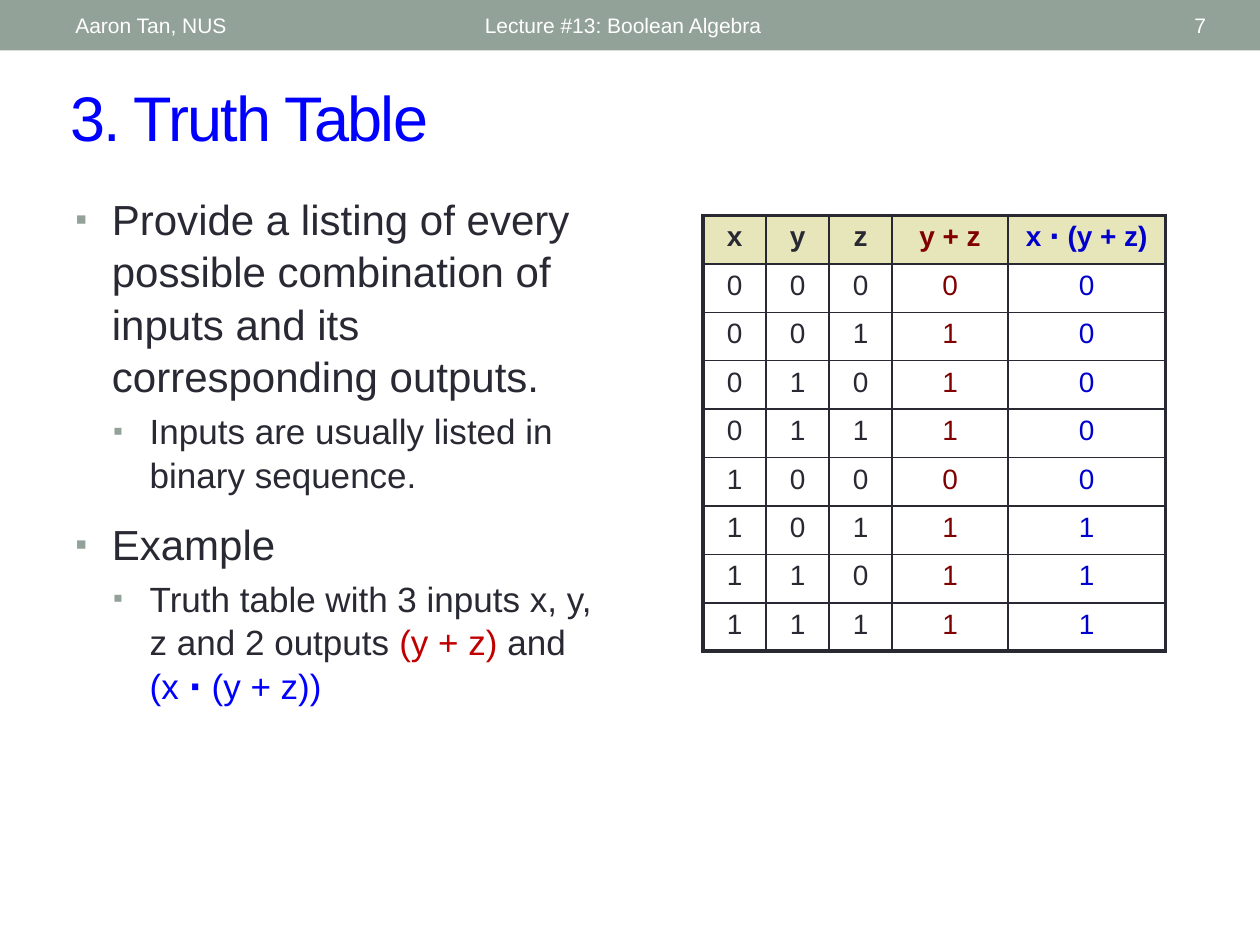
"""Build a lecture slide on truth tables with a bullet list and a table."""
from itertools import product

from lxml import etree
from pptx import Presentation
from pptx.dml.color import RGBColor
from pptx.enum.shapes import MSO_SHAPE
from pptx.enum.text import MSO_ANCHOR, PP_ALIGN
from pptx.oxml.ns import qn
from pptx.util import Inches, Pt

RECT = MSO_SHAPE.RECTANGLE
TOP, MIDDLE = MSO_ANCHOR.TOP, MSO_ANCHOR.MIDDLE
LEFT, CENTER, RIGHT = PP_ALIGN.LEFT, PP_ALIGN.CENTER, PP_ALIGN.RIGHT
INK, SAGE, WHITE, CREAM = "292934", "93A299", "FFFFFF", "E7E5BA"
BLUE, RED, NAVY, MAROON = "0000FF", "C00000", "0000CC", "800000"
tint = RGBColor.from_string


def put(par, text, size, hue, bold=False):
    run = par.add_run()
    run.text = text
    run.font.name = "Arial"
    run.font.size = Pt(size)
    run.font.bold = bold
    run.font.color.rgb = tint(hue)
    return run


def box(left, top, width, height, anchor):
    frame = slide.shapes.add_textbox(
        Inches(left), Inches(top), Inches(width), Inches(height)).text_frame
    frame.word_wrap = True
    frame.vertical_anchor = anchor
    return frame


deck = Presentation()
deck.slide_width, deck.slide_height = Inches(10), Inches(7.5)
slide = deck.slides.add_slide(deck.slide_layouts[6])

band = slide.shapes.add_shape(RECT, 0, 0, Inches(10), Inches(0.4))
band.shadow.inherit = False
band.fill.solid()
band.fill.fore_color.rgb = tint(SAGE)
band.line.fill.background()

title = box(0.46, 0.57, 9.07, 0.7, MIDDLE).paragraphs[0]
run = put(title, "3. Truth Table", 36, BLUE)
run.font._element.set("spc", "-100")

for left, width, align, text in [
    (3.75, 4.5, LEFT, "Lecture #13: Boolean Algebra"),
    (8.72, 0.95, RIGHT, "7"),
    (0.5, 3.17, LEFT, "Aaron Tan, NUS"),
]:
    par = box(left, 0.02, width, 0.36, MIDDLE).paragraphs[0]
    par.alignment = align
    put(par, text, 12, WHITE)

points = [
    (0, 5, [("Provide a listing of every possible combination of inputs "
             "and its corresponding outputs.", INK, False)]),
    (1, 4, [("Inputs are usually listed in binary sequence.", INK, False)]),
    (0, 12, [("Example", INK, False)]),
    (1, 4, [("Truth table with 3 inputs x, y, z and 2 outputs ", INK, False),
            ("(y + z) ", RED, False), ("and ", INK, False), None,
            ("(x ", BLUE, False), ("⋅ ", BLUE, True),
            ("(y + z))", BLUE, False)]),
]
body = box(0.5, 1.47, 4.5, 4.08, TOP)
for i, (level, gap, parts) in enumerate(points):
    par = body.add_paragraph() if i else body.paragraphs[0]
    par.level = level
    par.space_before = Pt(gap)
    par.line_spacing = 1.04
    props = par._p.get_or_add_pPr()
    props.set("marL", str(Inches(0.29 + 0.3 * level)))
    props.set("indent", str(Inches(-0.29)))
    shade = etree.SubElement(props, qn("a:buClr"))
    etree.SubElement(shade, qn("a:srgbClr"), val=SAGE)
    etree.SubElement(props, qn("a:buSzPct"), val="80000")
    etree.SubElement(props, qn("a:buFont"), typeface="Arial")
    etree.SubElement(props, qn("a:buChar"), char="▪")
    for part in parts:
        if part:
            text, hue, bold = part
            put(par, text, 24 - 4 * level, hue, bold)
        else:
            par.add_line_break()

rows = [("x", "y", "z", "y + z", "x ⋅ (y + z)")]
rows += [(x, y, z, y | z, x & (y | z)) for x, y, z in product((0, 1), repeat=3)]
widths = [0.5, 0.5, 0.5, 0.92, 1.25]
hues = [INK, INK, INK, MAROON, NAVY]
last, end = len(rows) - 1, len(widths) - 1
grid = slide.shapes.add_table(
    len(rows), len(widths), Inches(5.58), Inches(1.71),
    Inches(sum(widths)), Inches(3.46)).table
grid.first_row = grid.horz_banding = False
for col, width in zip(grid.columns, widths):
    col.width = Inches(width)
for r, row in enumerate(rows):
    grid.rows[r].height = Inches(3.46 / len(rows))
    for c, value in enumerate(row):
        cell = grid.cell(r, c)
        par = cell.text_frame.paragraphs[0]
        par.alignment = CENTER
        par.space_before = Pt(3)
        put(par, str(value), 16, hues[c], r == 0)
        props = cell._tc.get_or_add_tcPr()
        for side, outer in [("L", c == 0), ("R", c == end),
                            ("T", r == 0), ("B", r == last)]:
            edge = etree.SubElement(props, qn("a:ln" + side),
                                    w=str(Pt(2.25 if outer else 1)))
            fill = etree.SubElement(edge, qn("a:solidFill"))
            etree.SubElement(fill, qn("a:srgbClr"), val=INK)
        if r == 0:
            cell.fill.solid()
            cell.fill.fore_color.rgb = tint(CREAM)
        else:
            cell.fill.background()

deck.save("out.pptx")
